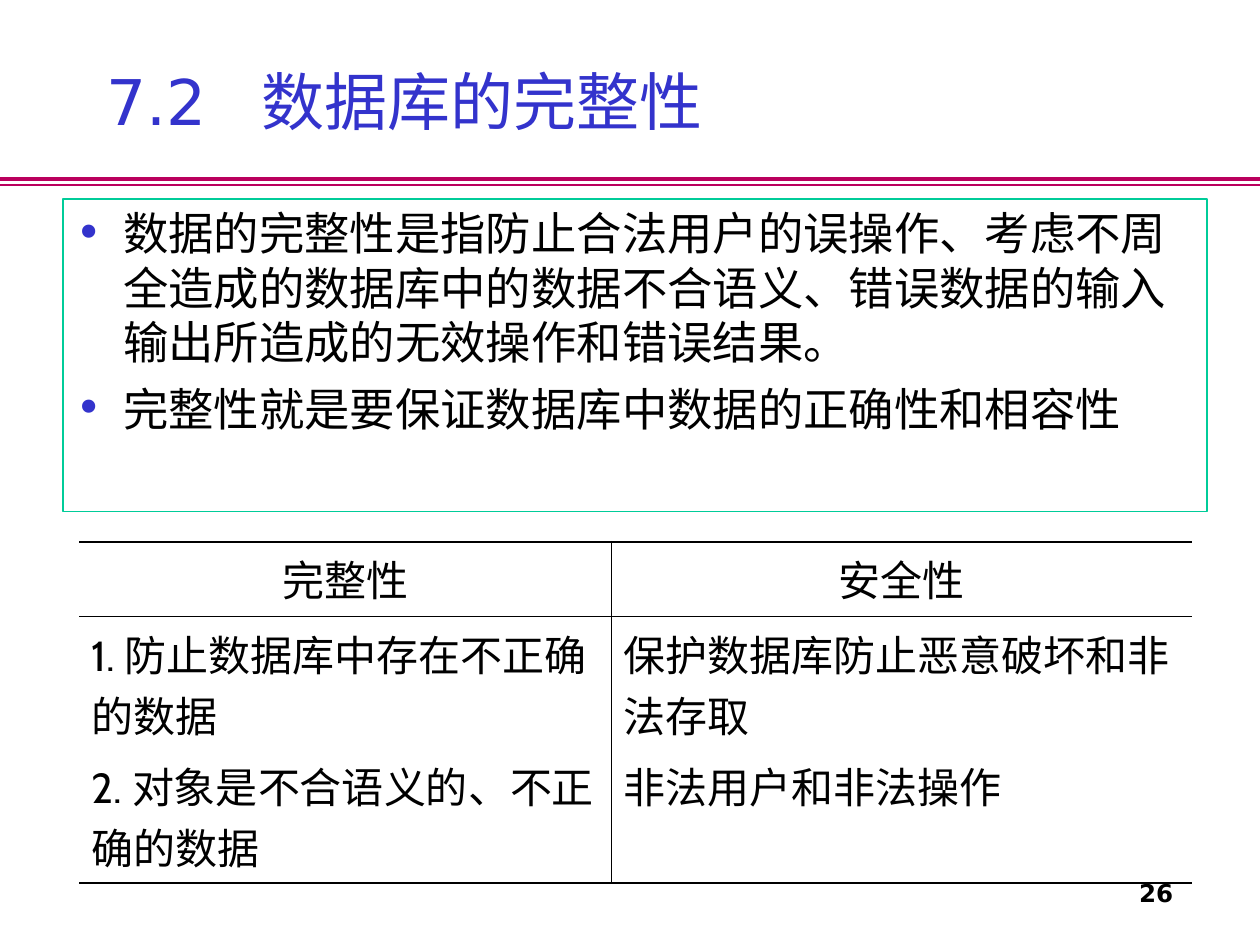
import dataclasses

import lxml.etree
import pptx
import pptx.dml.color
import pptx.enum.shapes
import pptx.enum.text
import pptx.oxml.ns
import pptx.util

EMU_PER_PX = 9144
ALIGN = pptx.enum.text.PP_ALIGN
ANCHOR = pptx.enum.text.MSO_ANCHOR


@dataclasses.dataclass(frozen=True)
class Theme:
    """Colours, typefaces and sizes of the slide."""
    ink: str = "000000"
    accent: str = "3333CC"
    rule: str = "BA005D"
    frame: str = "00CC99"
    text_face: str = "DejaVu Sans"
    table_face: str = "Cabin"
    title_size: float = 36
    body_size: float = 25.9
    table_size: float = 24
    number_size: float = 14
    outer_border: float = 1.08
    inner_border: float = 0.45


THEME = Theme()


def emu(*lengths):
    """Turn px lengths into EMU."""
    return [pptx.util.Emu(length * EMU_PER_PX) for length in lengths]


def rgb(color):
    """Make a colour from its hex digits."""
    return pptx.dml.color.RGBColor.from_string(color)


def add_element(parent, tag, **attributes):
    """Append a DrawingML element to its parent."""
    return lxml.etree.SubElement(parent, pptx.oxml.ns.qn(tag), attributes)


def style_paragraph(paragraph, size, color=THEME.ink, face=THEME.text_face, bold=False):
    """Set the font of a whole paragraph."""
    font = paragraph.font
    font.size, font.name, font.bold = pptx.util.Pt(size), face, bold
    font.color.rgb = rgb(color)


def fill_paragraphs(text_frame, texts, space_before=0):
    """Write one paragraph per text, spaced after the first, and return them."""
    text_frame.text = "\n".join(texts)
    for paragraph in text_frame.paragraphs[1:]:
        paragraph.space_before = pptx.util.Pt(space_before)
    return text_frame.paragraphs


def add_rules(slide, left, top, width):
    """Draw the double rule under the title."""
    for offset, weight in ((0, 2.25), (5, 1)):
        ends = emu(left, top + offset, left + width, top + offset)
        rule = slide.shapes.add_connector(pptx.enum.shapes.MSO_CONNECTOR.STRAIGHT, *ends)
        rule.line.color.rgb = rgb(THEME.rule)
        rule.line.width = pptx.util.Pt(weight)
        add_element(rule._element.spPr, "a:effectLst")


def add_title(slide, left, top, width, height, number, title):
    """Place the section number and title, parted by a tab."""
    frame = slide.shapes.add_textbox(*emu(left, top, width, height)).text_frame
    frame.word_wrap = True
    frame.vertical_anchor = ANCHOR.MIDDLE
    paragraph = fill_paragraphs(frame, [f"{number}\t{title}"])[0]
    tabs = add_element(paragraph._p.get_or_add_pPr(), "a:tabLst")
    add_element(tabs, "a:tab", pos=str(emu(123)[0]), algn="l")
    style_paragraph(paragraph, THEME.title_size, THEME.accent)


def add_body(slide, left, top, width, height, points):
    """Place the framed bullet list."""
    rectangle = pptx.enum.shapes.MSO_SHAPE.RECTANGLE
    shape = slide.shapes.add_shape(rectangle, *emu(left, top, width, height))
    shape.shadow.inherit = False
    shape.fill.background()
    shape.line.color.rgb = rgb(THEME.frame)
    shape.line.width = pptx.util.Pt(0.75)
    shape.text_frame.word_wrap = True
    shape.text_frame.vertical_anchor = ANCHOR.TOP
    indent = emu(38)[0]
    for paragraph in fill_paragraphs(shape.text_frame, points, space_before=7):
        paragraph.alignment = ALIGN.LEFT
        properties = paragraph._p.get_or_add_pPr()
        properties.set("marL", str(indent))
        properties.set("indent", str(-indent))
        add_element(add_element(properties, "a:buClr"), "a:srgbClr", val=THEME.accent)
        add_element(properties, "a:buFont", typeface=THEME.text_face)
        add_element(properties, "a:buChar", char="•")
        style_paragraph(paragraph, THEME.body_size)


def set_borders(cell, **weights):
    """Draw the named sides of a cell and hide the others."""
    properties = cell._tc.get_or_add_tcPr()
    for position, side in enumerate("LRTB"):
        weight = weights.get(side, 0)
        border = lxml.etree.Element(pptx.oxml.ns.qn(f"a:ln{side}"))
        properties.insert(position, border)
        if weight:
            border.set("w", str(pptx.util.Pt(weight)))
            add_element(add_element(border, "a:solidFill"), "a:srgbClr", val=THEME.ink)
        else:
            add_element(border, "a:noFill")


def add_comparison(slide, left, top, column_widths, row_heights, rows):
    """Place the open-sided comparison table."""
    box = emu(left, top, sum(column_widths), sum(row_heights))
    table = slide.shapes.add_table(len(rows), len(column_widths), *box).table
    table.first_row = table.horz_banding = False
    for column, width in zip(table.columns, emu(*column_widths)):
        column.width = width
    for row, height in zip(table.rows, emu(*row_heights)):
        row.height = height
    outer, inner = THEME.outer_border, THEME.inner_border
    for row_index, row in enumerate(rows):
        is_header = row_index == 0
        for column_index, texts in enumerate(row):
            cell = table.cell(row_index, column_index)
            cell.fill.background()
            divider = "R" if column_index == 0 else "L"
            set_borders(cell, T=outer if is_header else inner,
                        B=inner if is_header else outer, **{divider: inner})
            for paragraph in fill_paragraphs(cell.text_frame, texts, space_before=6):
                paragraph.alignment = ALIGN.CENTER if is_header else ALIGN.LEFT
                style_paragraph(paragraph, THEME.table_size, face=THEME.table_face)


def add_slide_number(slide, left, top, width, height, number):
    """Place the slide number."""
    frame = slide.shapes.add_textbox(*emu(left, top, width, height)).text_frame
    frame.word_wrap = False
    frame.vertical_anchor = ANCHOR.MIDDLE
    paragraph = fill_paragraphs(frame, [number])[0]
    paragraph.alignment = ALIGN.RIGHT
    style_paragraph(paragraph, THEME.number_size, bold=True)


def main():
    """Build and save the slide."""
    presentation = pptx.Presentation()
    presentation.slide_width, presentation.slide_height = emu(1000, 750)
    slide = presentation.slides.add_slide(presentation.slide_layouts[6])
    add_rules(slide, 0, 142, 1000)
    add_title(slide, 75, 17, 850, 125, "7.2", "数据库的完整性")
    add_body(slide, 50, 158, 908, 248, [
        "数据的完整性是指防止合法用户的误操作、考虑不周全造成的数据库中的数据不合语义、"
        "错误数据的输入输出所造成的无效操作和错误结果。",
        "完整性就是要保证数据库中数据的正确性和相容性",
    ])
    add_slide_number(slide, 883, 692, 58, 33, "26")
    add_comparison(slide, 63, 430, (422, 461), (59, 212), [
        (["完整性"], ["安全性"]),
        (["1. 防止数据库中存在不正确的数据", "2. 对象是不合语义的、不正确的数据"],
         ["保护数据库防止恶意破坏和非法存取", "非法用户和非法操作"]),
    ])
    presentation.save("out.pptx")


if __name__ == "__main__":
    main()
